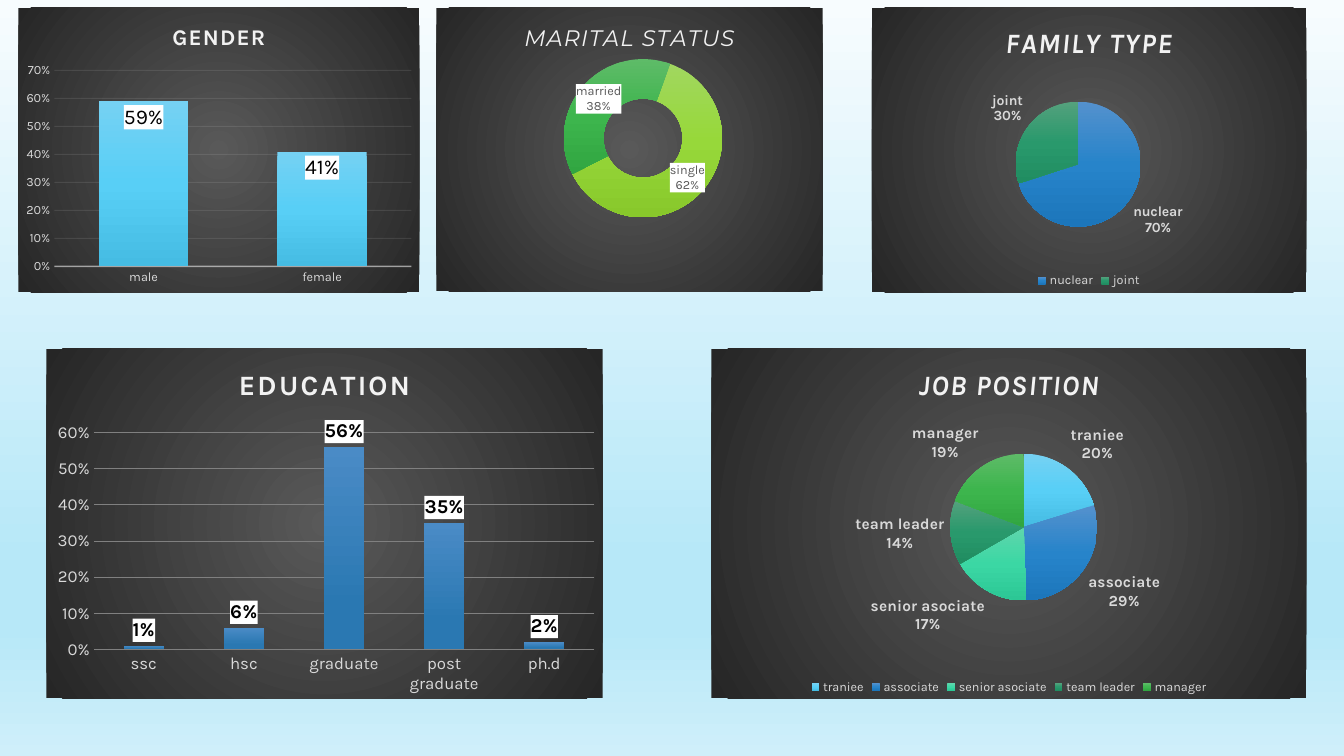
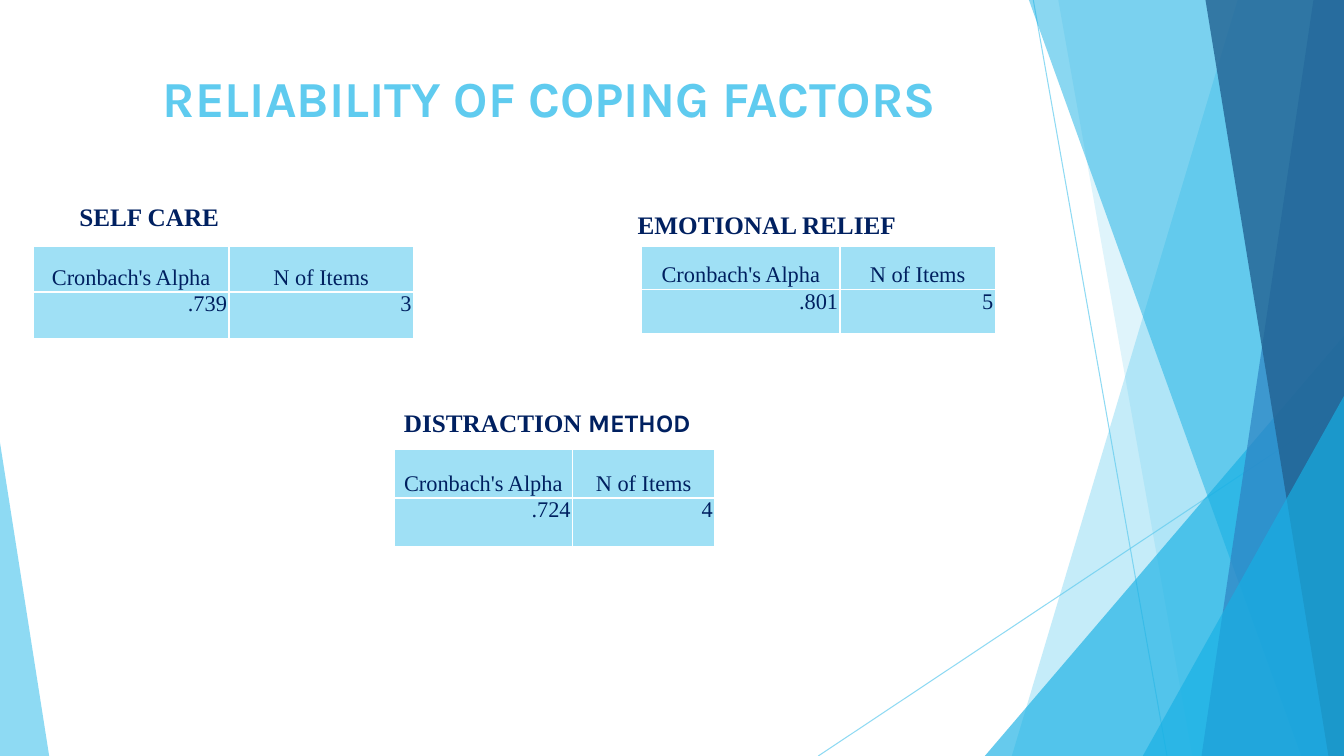
from pptx import Presentation
from pptx.chart.data import CategoryChartData
from pptx.dml.color import RGBColor
from pptx.dml.fill import FillFormat
from pptx.enum.chart import XL_CHART_TYPE, XL_LABEL_POSITION, XL_LEGEND_POSITION, XL_TICK_MARK
from pptx.enum.shapes import MSO_CONNECTOR, MSO_SHAPE
from pptx.enum.text import MSO_ANCHOR, MSO_AUTO_SIZE, PP_ALIGN
from pptx.oxml import parse_xml
from pptx.oxml.ns import nsdecls, qn
from pptx.util import Cm, Pt

COLUMN, PIE, DOUGHNUT = XL_CHART_TYPE.COLUMN_CLUSTERED, XL_CHART_TYPE.PIE, XL_CHART_TYPE.DOUGHNUT
INSIDE_END, OUTSIDE_END = XL_LABEL_POSITION.INSIDE_END, XL_LABEL_POSITION.OUTSIDE_END
LEGEND_BOTTOM, NO_TICK = XL_LEGEND_POSITION.BOTTOM, XL_TICK_MARK.NONE
TRIANGLE, STRAIGHT = MSO_SHAPE.ISOSCELES_TRIANGLE, MSO_CONNECTOR.STRAIGHT
TOP, BOTTOM = MSO_ANCHOR.TOP, MSO_ANCHOR.BOTTOM
LEFT, CENTER, RIGHT = PP_ALIGN.LEFT, PP_ALIGN.CENTER, PP_ALIGN.RIGHT
NO_FIT = MSO_AUTO_SIZE.NONE

WIDTH, HEIGHT = 33.87, 19.05
KARLA, MONTSERRAT, TIMES = "Karla", "Montserrat", "Times New Roman"
COLOURS = {
    "white": "FFFFFF", "black": "000000", "pale": "F2F2F2", "silver": "D9D9D9",
    "grey": "808080", "slate": "595959", "navy": "002060", "sky": "5FCBEF",
    "cyan": "17B0E4", "blue": "2E83C3", "deep": "226292", "cell": "9FE0F5",
}
GRADIENTS = {
    "backdrop": {0: "F7FCFE", 74: "B7E8F8", 83: "B7E8F8", 100: "CFEFFA"},
    "panel": {0: "595959", 100: "262626"},
    "sky": {0: "75D1F3", 50: "58CFF6", 100: "45BCE3"},
    "blue": {0: "5491CD", 50: "2784CA", 100: "1C76BB"},
    "mint": {0: "60D6AC", 50: "3BD7A4", 100: "2CC795"},
    "teal": {0: "54A17D", 50: "29996C", 100: "208D61"},
    "green": {0: "5EBB68", 50: "3DB54D", 100: "31A641"},
    "lime": {0: "A1D75F", 50: "97D83A", 100: "88C82B"},
    "steel": {0: "4A8BC6", 78: "2A78B2"},
}


def rgb(colour):
    return RGBColor.from_string(COLOURS[colour])


def style_font(font, name=KARLA, size=10, colour="silver", bold=False, italic=False):
    font.name, font.size = name, Pt(size)
    font.bold, font.italic = bold, italic
    font.color.rgb = rgb(colour)


def write(paragraph, text, align=None, line=None, spacing=0, **font):
    run = paragraph.add_run()
    run.text = text
    style_font(run.font, **font)
    if spacing:
        run.font._element.set("spc", str(spacing))
    if align is not None:
        paragraph.alignment = align
    if line:
        paragraph.line_spacing = Pt(line)


def fill_solid(fill, colour, opacity=100):
    fill.solid()
    fill.fore_color.rgb = rgb(colour)
    if opacity < 100:
        element = fill._xPr.find(qn("a:solidFill") + "/" + qn("a:srgbClr"))
        element.append(parse_xml(f'<a:alpha {nsdecls("a")} val="{opacity * 1000}"/>'))


def fill_gradient(fill, name, circle=False):
    fill.solid()
    stops = "".join(f'<a:gs pos="{position * 1000}"><a:srgbClr val="{colour}"/></a:gs>'
                    for position, colour in GRADIENTS[name].items())
    direction = '<a:lin ang="5400000" scaled="0"/>'
    if circle:
        direction = ('<a:path path="circle"><a:fillToRect l="50000" t="50000" '
                     'r="50000" b="50000"/></a:path>')
    gradient = parse_xml(f'<a:gradFill {nsdecls("a")} rotWithShape="1">'
                         f'<a:gsLst>{stops}</a:gsLst>{direction}</a:gradFill>')
    fill._xPr.replace(fill._xPr.find(qn("a:solidFill")), gradient)


def chart_properties():
    return parse_xml(f'<c:spPr {nsdecls("c", "a")}/>')


class Deck:
    def __init__(self):
        self.presentation = Presentation()
        self.presentation.slide_width = Cm(WIDTH)
        self.presentation.slide_height = Cm(HEIGHT)
        self.slide = None

    def add_slide(self, layout):
        self.slide = self.presentation.slides.add_slide(self.presentation.slide_layouts[layout])
        return self.slide

    def title(self, text, box):
        shape = self.slide.shapes.title
        shape.left, shape.top, shape.width, shape.height = map(Cm, box)
        frame = shape.text_frame
        frame.auto_size, frame.vertical_anchor = NO_FIT, TOP
        write(frame.paragraphs[0], text, align=LEFT, size=36, colour="sky", bold=True)

    def heading(self, runs, box):
        frame = self.slide.shapes.add_textbox(*map(Cm, box)).text_frame
        frame.word_wrap = True
        for text, font in runs:
            write(frame.paragraphs[0], text, name=font, size=18, colour="navy", bold=True)

    def paint(self, shape, colour, opacity):
        shape.shadow.inherit = False
        fill_solid(shape.fill, colour, opacity)
        shape.line.fill.background()

    def line(self, start, end):
        connector = self.slide.shapes.add_connector(STRAIGHT, *map(Cm, start + end))
        connector.line.width = Pt(0.75)
        fill_solid(connector.line.fill, "sky", 70)
        connector._element.spPr.append(parse_xml(f'<a:effectLst {nsdecls("a")}/>'))

    def band(self, top, bottom, colour, opacity):
        builder = self.slide.shapes.build_freeform(Cm(top), 0)
        corners = ((WIDTH, 0), (WIDTH, HEIGHT), (bottom, HEIGHT))
        builder.add_line_segments([(Cm(x), Cm(y)) for x, y in corners], close=True)
        self.paint(builder.convert_to_shape(), colour, opacity)

    def triangle(self, left, top, width, apex, colour, opacity):
        shape = self.slide.shapes.add_shape(TRIANGLE, *map(Cm, (left, top, width, HEIGHT - top)))
        shape.adjustments[0] = apex
        self.paint(shape, colour, opacity)

    def facets(self):
        self.line((26.04, 0), (29.41, HEIGHT))
        self.line((WIDTH, 10.24), (20.62, HEIGHT))
        self.band(31.19, 25.5, "sky", 36)
        self.band(26.67, 30.05, "sky", 20)
        self.triangle(24.82, 8.46, 9.05, 1, "cyan", 66)
        self.band(25.93, 32.79, "cyan", 50)
        self.band(33.1, 30.28, "blue", 70)
        self.band(30.38, 33.48, "deep", 80)
        self.triangle(28.8, 9.98, 5.07, 1, "cyan", 66)
        self.triangle(0, 11.15, 1.24, 0, "sky", 70)

    def table(self, rows, position, widths, row_height):
        size = (sum(widths), row_height * len(rows))
        table = self.slide.shapes.add_table(
            len(rows), len(widths), *map(Cm, position + size)).table
        for column, width in zip(table.columns, widths):
            column.width = Cm(width)
        for row_index, texts in enumerate(rows):
            header = row_index == 0
            table.rows[row_index].height = Cm(row_height)
            for column_index, text in enumerate(texts):
                cell = table.cell(row_index, column_index)
                cell.margin_left = cell.margin_right = Cm(0.05)
                cell.margin_top = cell.margin_bottom = Cm(0.05)
                cell.vertical_anchor = BOTTOM if header else TOP
                fill_solid(cell.fill, "cell")
                self.cell_borders(cell)
                write(cell.text_frame.paragraphs[0], text, align=CENTER if header else RIGHT,
                      line=16, name=TIMES, size=16, colour="navy")

    def cell_borders(self, cell):
        properties = cell._tc.get_or_add_tcPr()
        for index, side in enumerate("LRTB"):
            properties.insert(index, parse_xml(
                f'<a:ln{side} {nsdecls("a")} w="12700"><a:solidFill>'
                f'<a:srgbClr val="{COLOURS["white"]}"/></a:solidFill></a:ln{side}>'))

    def chart(self, kind, title, title_format, box, plot_box, points, number_format):
        data = CategoryChartData(number_format=number_format)
        data.categories = list(points)
        data.add_series("Series 1", list(points.values()))
        chart = self.slide.shapes.add_chart(kind, *map(Cm, box), data).chart
        style_font(chart.font, colour="black")
        chart.has_legend = False
        chart.has_title = True
        write(chart.chart_title.text_frame.paragraphs[0], title, colour="pale", **title_format)
        panel = chart_properties()
        chart.element.find(qn("c:chart")).addnext(panel)
        fill_gradient(FillFormat.from_fill_parent(panel), "panel", circle=True)
        area = chart.element.find(".//" + qn("c:plotArea"))
        for layout in area.findall(qn("c:layout")):
            area.remove(layout)
        sizes = "".join(f'<c:{key} val="{value}"/>' for key, value in zip("xywh", plot_box))
        area.insert(0, parse_xml(
            f'<c:layout {nsdecls("c")}><c:manualLayout><c:layoutTarget val="inner"/>'
            f'<c:xMode val="edge"/><c:yMode val="edge"/>{sizes}</c:manualLayout></c:layout>'))
        return chart

    def labels(self, series, position=None, percent=False, boxed=False, **font):
        labels = series.data_labels
        style_font(labels.font, **font)
        labels.number_format, labels.number_format_is_linked = "0%", False
        labels.show_value = not percent
        labels.show_percentage = labels.show_category_name = percent
        if position is not None:
            labels.position = position
        if percent:
            separator = parse_xml(f'<c:separator {nsdecls("c")}>\n</c:separator>')
            labels._element.find(qn("c:showBubbleSize")).addnext(separator)
        if boxed:
            background = chart_properties()
            labels._element.find(qn("c:txPr")).addprevious(background)
            fill_solid(FillFormat.from_fill_parent(background), "white")

    def column_chart(self, title, title_format, box, plot_box, points, label_format, *,
                     fill, gap, overlap, maximum, axis_size, grid, baseline):
        chart = self.chart(COLUMN, title, title_format, box, plot_box, points, "0%")
        plot = chart.plots[0]
        plot.vary_by_categories = False
        plot.gap_width, plot.overlap = gap, overlap
        fill_gradient(plot.series[0].format.fill, fill)
        self.labels(plot.series[0], boxed=True, colour="black", **label_format)
        for axis in (chart.category_axis, chart.value_axis):
            axis.major_tick_mark = axis.minor_tick_mark = NO_TICK
            style_font(axis.tick_labels.font, size=axis_size)
            axis.format.line.fill.background()
        chart.category_axis.has_major_gridlines = False
        if baseline:
            chart.category_axis.format.line.width = Pt(1)
            fill_solid(chart.category_axis.format.line.fill, *baseline)
        axis = chart.value_axis
        axis.minimum_scale, axis.maximum_scale, axis.major_unit = 0, maximum, 0.1
        axis.tick_labels.number_format, axis.tick_labels.number_format_is_linked = "0%", False
        axis.major_gridlines.format.line.width = Pt(0.75)
        fill_solid(axis.major_gridlines.format.line.fill, *grid)

    def round_chart(self, kind, title, title_format, box, plot_box, points, label_format, *,
                    fills, legend=True):
        chart = self.chart(kind, title, title_format, box, plot_box, points, "General")
        plot = chart.plots[0]
        plot.vary_by_categories = True
        for index, fill in enumerate(fills):
            fill_gradient(plot.series[0].points[index].format.fill, fill)
        self.labels(plot.series[0], percent=True, **label_format)
        if legend:
            chart.has_legend = True
            chart.legend.position = LEGEND_BOTTOM
            chart.legend.include_in_layout = False
            style_font(chart.legend.font, size=9)
        if kind == DOUGHNUT:
            for tag, value in (("c:firstSliceAng", "20"), ("c:holeSize", "45")):
                chart.element.find(".//" + qn(tag)).set("val", value)


def profile_slide(deck):
    slide = deck.add_slide(6)
    fill_gradient(slide.background.fill, "backdrop")
    slanted = {"size": 20, "bold": True, "italic": True, "spacing": 100}
    deck.round_chart(
        DOUGHNUT, "MARITAL STATUS",
        {"name": MONTSERRAT, "size": 16, "italic": True, "spacing": 100},
        (11, 0.2, 9.73, 7.14), (0.33, 0.12, 0.41, 0.68), {"single": 62, "married": 38},
        {"boxed": True, "size": 9, "colour": "slate"}, fills=("lime", "green"), legend=False)
    deck.round_chart(
        PIE, "JOB POSITION", slanted, (17.93, 8.79, 14.99, 8.81), (0.4, 0.3, 0.25, 0.42),
        {"traniee": 20, "associate": 29, "senior asociate": 17, "team leader": 14, "manager": 19},
        {"position": OUTSIDE_END, "size": 11, "bold": True},
        fills=("sky", "blue", "mint", "teal", "green"))
    deck.round_chart(
        PIE, "FAMILY TYPE", slanted, (21.97, 0.2, 10.95, 7.16), (0.33, 0.33, 0.29, 0.44),
        {"nuclear": 70, "joint": 30}, {"position": OUTSIDE_END, "size": 10, "bold": True},
        fills=("blue", "teal"))
    deck.column_chart(
        "GENDER", {"size": 16, "bold": True, "spacing": 100},
        (0.46, 0.2, 10.11, 7.16), (0.09, 0.22, 0.89, 0.69), {"male": 0.59, "female": 0.41},
        {"position": INSIDE_END, "size": 15}, fill="sky", gap=100, overlap=-24,
        maximum=0.7, axis_size=9, grid=("pale", 10), baseline=("pale", 54))
    deck.column_chart(
        "EDUCATION", {"size": 20, "bold": True, "spacing": 150},
        (1.17, 8.79, 14.02, 8.81), (0.085, 0.24, 0.9, 0.62),
        {"ssc": 0.01, "hsc": 0.06, "graduate": 0.56, "post graduate": 0.35, "ph.d": 0.02},
        {"position": OUTSIDE_END, "size": 14, "bold": True}, fill="steel", gap=150, overlap=0,
        maximum=0.6, axis_size=12, grid=("grey",), baseline=None)


def reliability_slide(deck):
    slide = deck.add_slide(5)
    fill_solid(slide.background.fill, "white")
    deck.facets()
    deck.title("RELIABILITY OF COPING FACTORS", (3.85, 1.57, 21, 3.78))
    factors = (
        ([("SELF CARE", TIMES)], (1.75, 4.95), (".739", "3"), (0.84, 6.2), (4.93, 4.65), 1.16),
        ([("EMOTIONAL RELIEF", TIMES)], (15.82, 5.16), (".801", "5"), (16.17, 6.2), (5, 3.91), 1.1),
        ([("DISTRACTION", TIMES), (" METHOD", KARLA)], (9.93, 10.13), (".724", "4"),
         (9.93, 11.33), (4.5, 3.58), 1.22),
    )
    for runs, heading_position, values, position, widths, row_height in factors:
        deck.table((("Cronbach's Alpha", "N of Items"), values), position, widths, row_height)
        deck.heading(runs, heading_position + (9, 1.02))


def main():
    deck = Deck()
    profile_slide(deck)
    reliability_slide(deck)
    deck.presentation.save("out.pptx")


if __name__ == "__main__":
    main()
